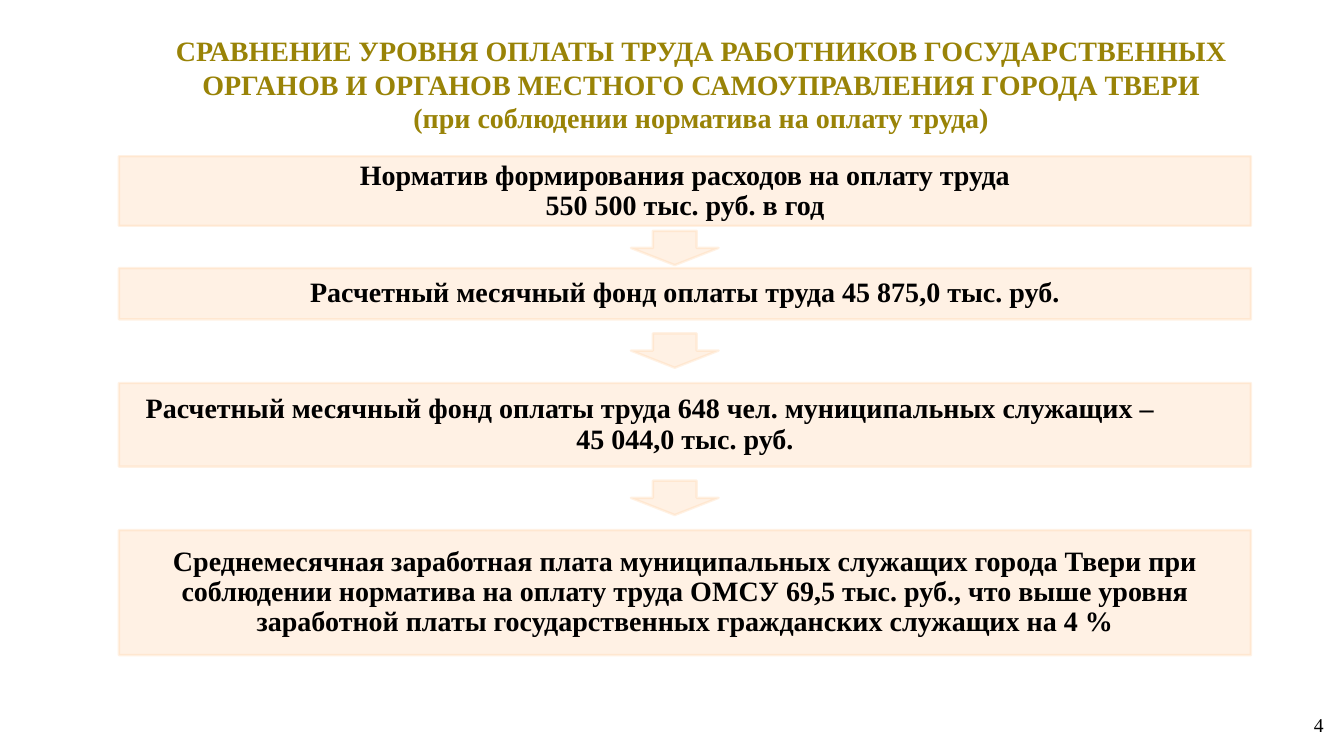
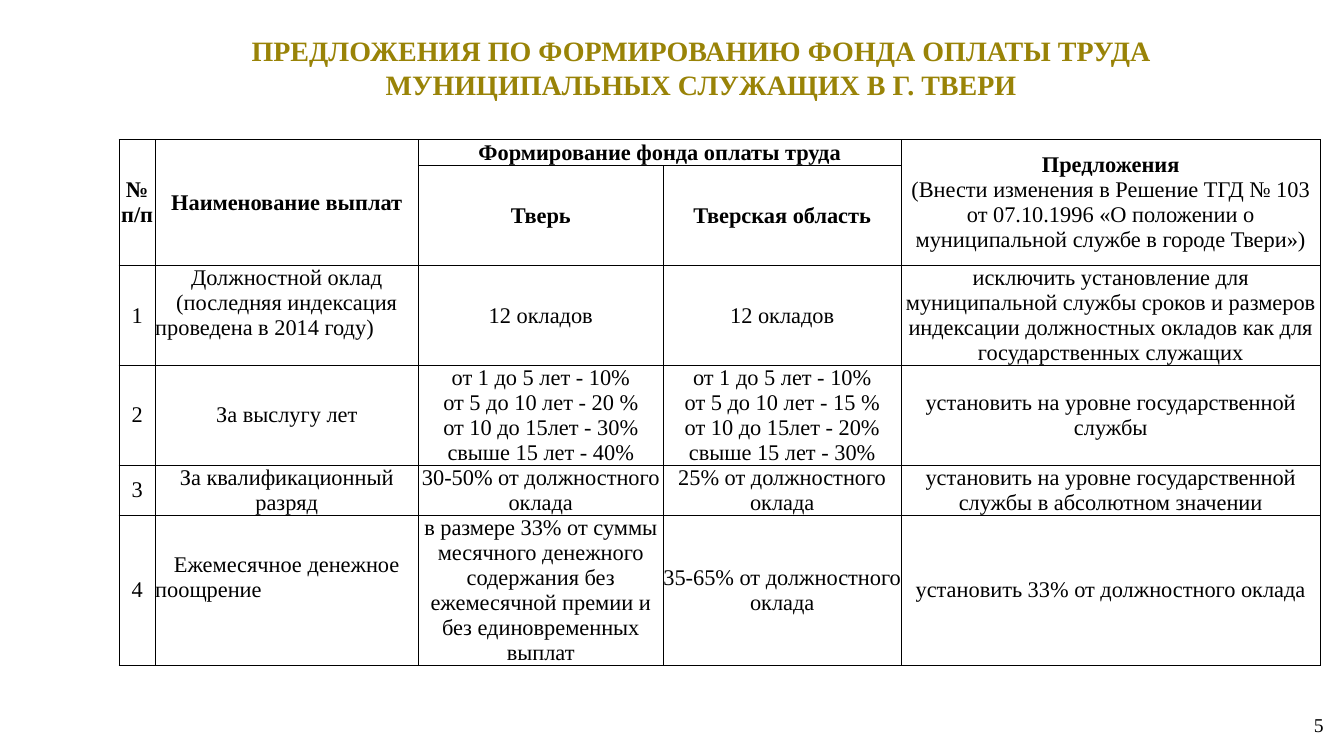
from dataclasses import dataclass

from lxml import etree
from pptx import Presentation
from pptx.dml.color import RGBColor
from pptx.enum.shapes import MSO_SHAPE
from pptx.enum.text import MSO_ANCHOR, MSO_AUTO_SIZE, PP_ALIGN
from pptx.oxml.ns import qn
from pptx.util import Pt

LEFT, CENTER, RIGHT = PP_ALIGN.LEFT, PP_ALIGN.CENTER, PP_ALIGN.RIGHT
TOP, MIDDLE = MSO_ANCHOR.TOP, MSO_ANCHOR.MIDDLE
NO_AUTOFIT = MSO_AUTO_SIZE.NONE
RECTANGLE, DOWN_ARROW = MSO_SHAPE.RECTANGLE, MSO_SHAPE.DOWN_ARROW
TITLE_ONLY = 5


@dataclass(frozen=True)
class Theme:
    font: str = "Times New Roman"
    heading: RGBColor = RGBColor(0x99, 0x83, 0x07)
    ink: RGBColor = RGBColor(0, 0, 0)
    peach: RGBColor = RGBColor(0xFF, 0xCC, 0x99)
    peach_opacity: int = 26000
    heading_size: int = 20
    table_size: int = 16
    number_size: int = 14
    outline: float = 1.75
    grid: float = 0.75
    margin: float = 85


THEME = Theme()


@dataclass(frozen=True)
class Line:
    """One paragraph; unset values follow the whole text."""
    text: str
    bold: bool | None = None
    align: PP_ALIGN | None = None
    indent: float = 0


@dataclass(frozen=True)
class Step:
    """A box of the chain and the gap before the arrow under it."""
    top: float
    height: float
    lines: tuple[Line, ...]
    arrow_gap: float | None = None


@dataclass(frozen=True)
class Cell:
    lines: tuple[Line, ...]
    bold: bool = False
    rows: int = 1
    columns: int = 1
    bottom: float = 0


def lines(*texts: str) -> tuple[Line, ...]:
    return tuple(Line(text) for text in texts)


# Content
SALARY_TITLE = lines(
    "СРАВНЕНИЕ УРОВНЯ ОПЛАТЫ ТРУДА РАБОТНИКОВ ГОСУДАРСТВЕННЫХ ОРГАНОВ И ОРГАНОВ "
    "МЕСТНОГО САМОУПРАВЛЕНИЯ ГОРОДА ТВЕРИ",
    "(при соблюдении норматива на оплату труда)")
SALARY_STEPS = (
    Step(111.6, 49.7, lines("Норматив формирования расходов на оплату труда",
                            "550 500 тыс. руб. в год"), 3.6),
    Step(191.5, 36.7, lines("Расчетный месячный фонд оплаты труда 45 875,0 тыс. руб."), 10),
    Step(273.6, 59.8, (
        Line("Расчетный месячный фонд оплаты труда 648 чел. муниципальных служащих –",
             align=LEFT, indent=12),
        Line("45 044,0 тыс. руб.")), 10),
    Step(378.7, 89.3, lines(
        "Среднемесячная заработная плата муниципальных служащих города Твери при "
        "соблюдении норматива на оплату труда ОМСУ 69,5 тыс. руб., что выше уровня "
        "заработной платы государственных гражданских служащих на 4 %")),
)
STEP_WIDTH = 808.6
ARROW_LEFT, ARROW_WIDTH, ARROW_HEIGHT = 450.7, 62.6, 24.5

FUND_TITLE = lines("ПРЕДЛОЖЕНИЯ ПО ФОРМИРОВАНИЮ ФОНДА ОПЛАТЫ ТРУДА "
                   "МУНИЦИПАЛЬНЫХ СЛУЖАЩИХ В Г. ТВЕРИ")
FUND_TOP = 99.7
FUND_COLUMNS = (25.9, 187.9, 175, 169.9, 299.5)
FUND_ROWS = (18.5, 71.5, 71, 71, 36, 107)
SPARE_LINE = 18


def header(*texts: str, rows: int = 1, columns: int = 1) -> Cell:
    return Cell(lines(*texts), True, rows, columns)


def body(*texts: str) -> Cell:
    return Cell(lines(*texts))


FUND_CELLS: tuple[tuple[Cell | None, ...], ...] = (
    (header("№ п/п", rows=2), header("Наименование выплат", rows=2),
     header("Формирование фонда оплаты труда", columns=2), None,
     Cell((Line("Предложения"),
           Line("(Внести изменения в Решение ТГД № 103 от 07.10.1996 «О положении о "
                "муниципальной службе в городе Твери»)", bold=False)), True, rows=2)),
    (None, None, header("Тверь"), header("Тверская область"), None),
    (body("1"),
     Cell((Line("Должностной оклад (последняя индексация"),
           Line("проведена в 2014 году)", align=LEFT)), bottom=SPARE_LINE),
     body("12 окладов"), body("12 окладов"),
     body("исключить установление для муниципальной службы сроков и размеров "
          "индексации должностных окладов как для государственных служащих")),
    (body("2"), body("За выслугу лет"),
     body("от 1 до 5 лет - 10%", "от 5 до 10 лет - 20 %",
          "от 10 до 15лет - 30%", "свыше 15 лет - 40%"),
     body("от 1 до 5 лет - 10%", "от 5 до 10 лет - 15 %",
          "от 10 до 15лет - 20%", "свыше 15 лет - 30%"),
     body("установить на уровне государственной службы")),
    (body("3"), body("За квалификационный разряд"),
     body("30-50% от должностного оклада"), body("25% от должностного оклада"),
     body("установить на уровне государственной службы в абсолютном значении")),
    (body("4"),
     Cell((Line("Ежемесячное денежное"), Line("поощрение", align=LEFT)), bottom=SPARE_LINE),
     body("в размере 33% от суммы месячного денежного содержания без ежемесячной "
          "премии и без единовременных выплат"),
     body("35-65% от должностного оклада"),
     body("установить 33% от должностного оклада")),
)


# Shared drawing
def write(frame, content: tuple[Line, ...], *, size: float, color: RGBColor = THEME.ink,
          bold: bool = False, align: PP_ALIGN = CENTER, spacing: float = 1.0) -> None:
    for index, line in enumerate(content):
        paragraph = frame.paragraphs[0] if index == 0 else frame.add_paragraph()
        if line.indent:
            paragraph._p.get_or_add_pPr().set("marL", str(Pt(line.indent)))
        paragraph.alignment = align if line.align is None else line.align
        paragraph.line_spacing = spacing
        paragraph.space_before = paragraph.space_after = Pt(0)
        run = paragraph.add_run()
        run.text = line.text
        run.font.name = THEME.font
        run.font.size = Pt(size)
        run.font.bold = bold if line.bold is None else line.bold
        run.font.color.rgb = color


def set_frame(frame, anchor: MSO_ANCHOR) -> None:
    frame.word_wrap = True
    frame.auto_size = NO_AUTOFIT
    frame.vertical_anchor = anchor


def add_page(deck, title: tuple[Line, ...], title_height: float, number: int):
    slide = deck.slides.add_slide(deck.slide_layouts[TITLE_ONLY])
    heading = slide.shapes.title
    heading.left, heading.top = Pt(THEME.margin), Pt(21.6)
    heading.width, heading.height = Pt(831.6), Pt(title_height)
    set_frame(heading.text_frame, MIDDLE)
    write(heading.text_frame, title, size=THEME.heading_size,
          color=THEME.heading, bold=True)

    page_number = slide.shapes.add_textbox(Pt(784.8), Pt(505.4), Pt(167.8), Pt(28.8))
    set_frame(page_number.text_frame, TOP)
    write(page_number.text_frame, lines(str(number)), size=THEME.number_size, align=RIGHT)
    return slide


def add_peach_shape(slide, kind: MSO_SHAPE, left: float, top: float,
                    width: float, height: float):
    shape = slide.shapes.add_shape(kind, Pt(left), Pt(top), Pt(width), Pt(height))
    shape.shadow.inherit = False
    shape.fill.solid()
    shape.fill.fore_color.rgb = THEME.peach
    shape.line.color.rgb = THEME.peach
    shape.line.width = Pt(THEME.outline)
    for color in shape._element.spPr.iter(qn("a:srgbClr")):
        etree.SubElement(color, qn("a:alpha")).set("val", str(THEME.peach_opacity))
    return shape


# Chain of calculations
def add_step(slide, step: Step) -> None:
    box = add_peach_shape(slide, RECTANGLE, THEME.margin, step.top, STEP_WIDTH, step.height)
    set_frame(box.text_frame, MIDDLE)
    write(box.text_frame, step.lines, size=THEME.heading_size, bold=True, spacing=0.9)
    if step.arrow_gap is not None:
        add_peach_shape(slide, DOWN_ARROW, ARROW_LEFT,
                        step.top + step.height + step.arrow_gap, ARROW_WIDTH, ARROW_HEIGHT)


# Table of proposals
def format_grid(cell) -> None:
    cell.fill.background()
    properties = cell._tc.get_or_add_tcPr()
    for index, side in enumerate(("a:lnL", "a:lnR", "a:lnT", "a:lnB")):
        border = etree.Element(qn(side), w=str(Pt(THEME.grid)))
        fill = etree.SubElement(border, qn("a:solidFill"))
        etree.SubElement(fill, qn("a:srgbClr")).set("val", str(THEME.ink))
        properties.insert(index, border)
    cell.margin_left = cell.margin_right = cell.margin_top = cell.margin_bottom = Pt(0)
    cell.vertical_anchor = MIDDLE


def add_fund_table(slide) -> None:
    table = slide.shapes.add_table(
        len(FUND_ROWS), len(FUND_COLUMNS), Pt(THEME.margin), Pt(FUND_TOP),
        Pt(sum(FUND_COLUMNS)), Pt(sum(FUND_ROWS))).table
    table.first_row = table.horz_banding = False
    for column, width in zip(table.columns, FUND_COLUMNS):
        column.width = Pt(width)
    for row, height in zip(table.rows, FUND_ROWS):
        row.height = Pt(height)
    for r, row_cells in enumerate(FUND_CELLS):
        for c, content in enumerate(row_cells):
            cell = table.cell(r, c)
            format_grid(cell)
            if content is None:
                continue
            if content.rows > 1 or content.columns > 1:
                cell.merge(table.cell(r + content.rows - 1, c + content.columns - 1))
            cell.margin_bottom = Pt(content.bottom)
            write(cell.text_frame, content.lines, size=THEME.table_size, bold=content.bold)


def main() -> None:
    deck = Presentation()
    deck.slide_width, deck.slide_height = Pt(960), Pt(540)

    salary = add_page(deck, SALARY_TITLE, 77, 4)
    for step in SALARY_STEPS:
        add_step(salary, step)

    fund = add_page(deck, FUND_TITLE, 52.6, 5)
    add_fund_table(fund)

    deck.save("out.pptx")


if __name__ == "__main__":
    main()
